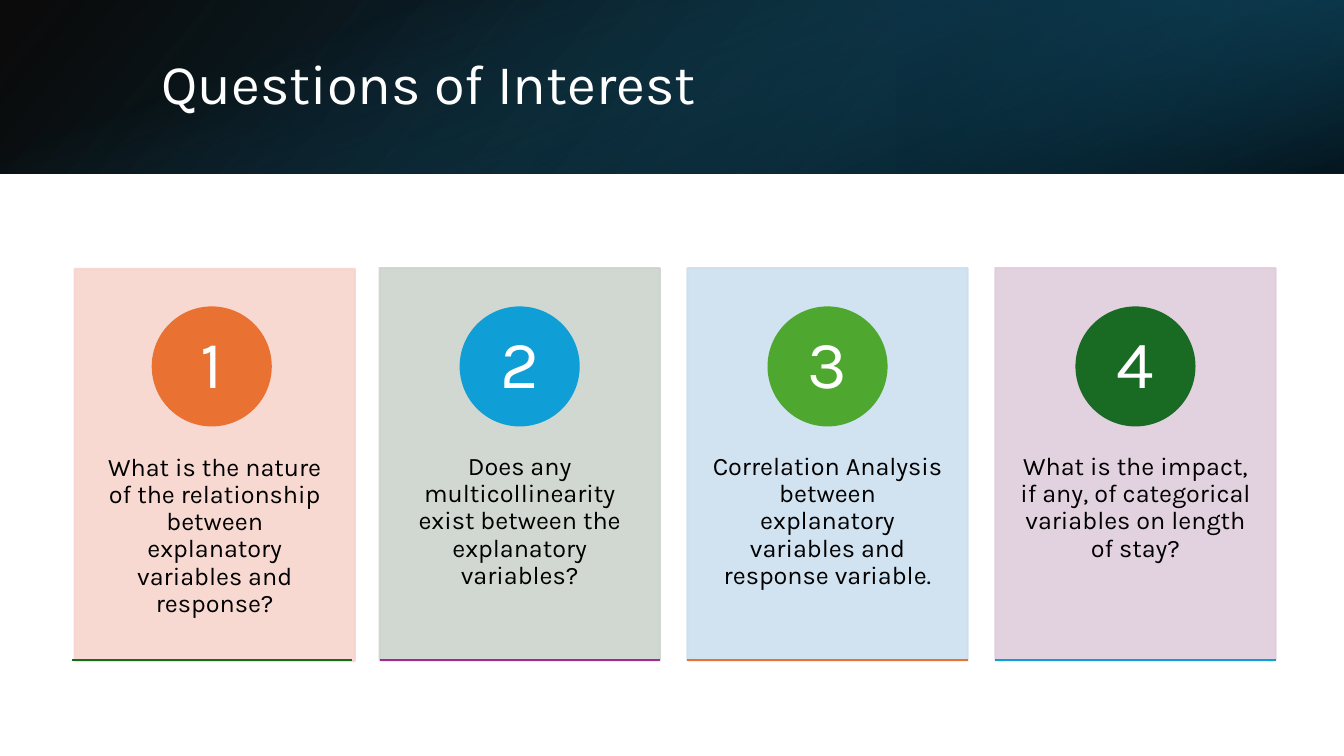
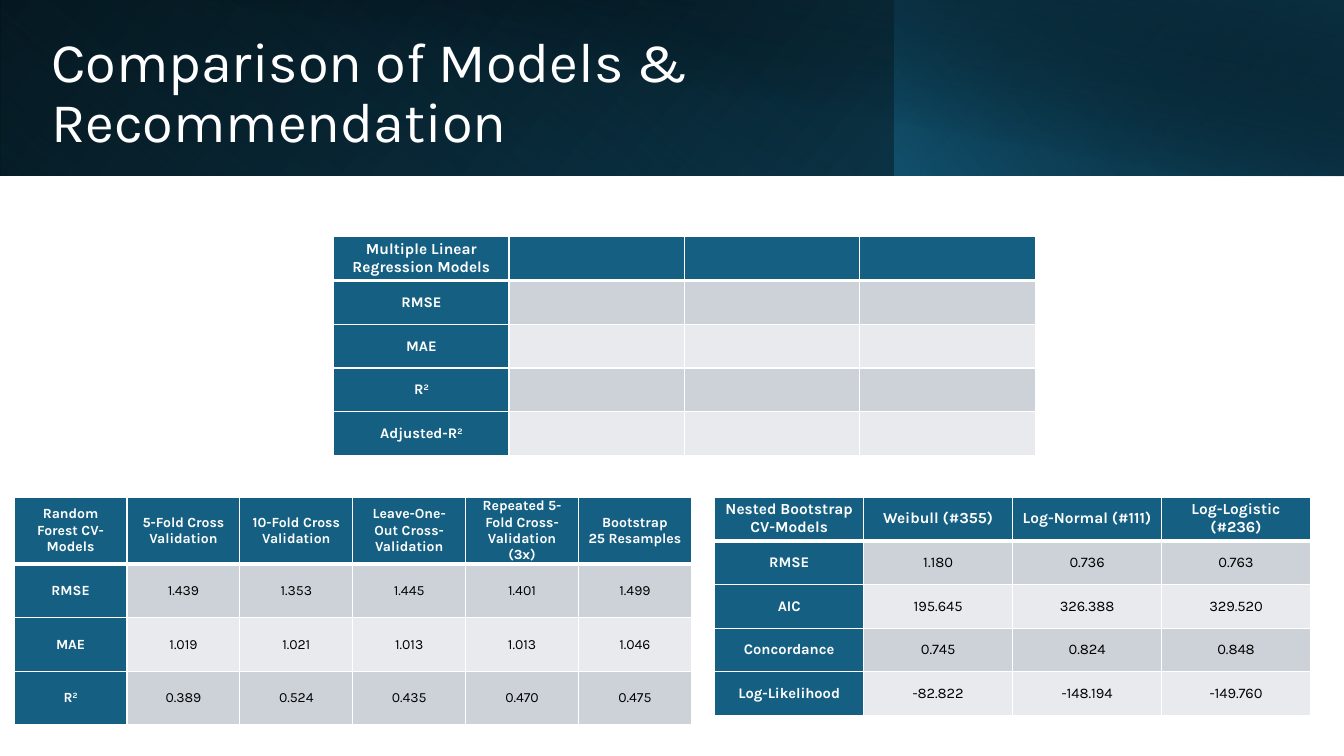
from lxml.etree import SubElement
from pptx import Presentation
from pptx.dml.color import RGBColor
from pptx.enum.shapes import MSO_CONNECTOR as Connector, MSO_SHAPE as Preset
from pptx.enum.text import MSO_ANCHOR as Anchor, PP_ALIGN as Align
from pptx.oxml import parse_xml
from pptx.oxml.ns import nsdecls, qn
from pptx.util import Emu, Inches, Pt


def color(code):
    return RGBColor.from_string(code)


def fade(element, opacities):
    for tint, opacity in zip(element.iter(qn("a:srgbClr")), opacities):
        SubElement(tint, qn("a:alpha")).set("val", str(opacity * 1000))


def write(frame, text, size=18, ink="000000", bold=False, align=Align.CENTER,
          anchor=Anchor.MIDDLE, spacing=None, insets=(0.1, 0.05)):
    frame.word_wrap = True
    frame.vertical_anchor = anchor
    frame.margin_left = frame.margin_right = Inches(insets[0])
    frame.margin_top = frame.margin_bottom = Inches(insets[1])
    for index, line in enumerate(text.split("\n")):
        paragraph = frame.add_paragraph() if index else frame.paragraphs[0]
        paragraph.alignment = align
        paragraph.line_spacing = spacing
        for part, piece in enumerate(line.split("^")):
            run = paragraph.add_run()
            run.text = piece
            run.font.name = Deck.FONT
            run.font.size = Pt(size)
            run.font.bold = bold
            run.font.color.rgb = color(ink)
            if part % 2:
                run._r.get_or_add_rPr().set("baseline", "30000")


class Deck:
    FONT = "Karla"
    WHITE = "FFFFFF"
    TEAL = "156082"
    NAVY = "0B3041"
    BLACK = "000000"
    STRIPES = ("CCD2D8", "E8EAED")
    BASE = ((BLACK, 0), ("104862", 100))

    def __init__(self):
        self.presentation = Presentation()
        self.presentation.slide_width = Inches(13.333)
        self.presentation.slide_height = Inches(7.5)
        self.slide = None

    def across(self, share):
        return Emu(round(self.presentation.slide_width * share / 100))

    def down(self, share):
        return Emu(round(self.presentation.slide_height * share / 100))

    def area(self, left, top, width, height):
        return self.across(left), self.down(top), self.across(width), self.down(height)

    def new_slide(self):
        self.slide = self.presentation.slides.add_slide(self.presentation.slide_layouts[6])

    def shape(self, preset, area, line=None):
        shape = self.slide.shapes.add_shape(preset, *area)
        shape.shadow.inherit = False
        if line:
            shape.fill.solid()
            shape.fill.fore_color.rgb = color(line)
            shape.line.color.rgb = color(line)
            shape.line.width = Pt(1.5)
        else:
            shape.line.fill.background()
        return shape

    def band(self, left, width, height, stops, opacities, angle, rotation=0, flip=True):
        x, y, w, h = self.area(left, 0, width, height)
        if rotation == 90:
            x, y, w, h = x + (w - h) // 2, y + (h - w) // 2, h, w
        shape = self.shape(Preset.RECTANGLE, (x, y, w, h))
        shape.rotation = rotation
        if flip:
            shape.element.spPr.find(qn("a:xfrm")).set("flipH", "1")
        shape.fill.gradient()
        shape.fill.gradient_angle = 360 - angle
        for stop, (code, position) in zip(shape.fill.gradient_stops, stops):
            stop.color.rgb = color(code)
            stop.position = position / 100
        fade(shape.element.spPr, opacities)

    def text(self, area, text, **style):
        box = self.slide.shapes.add_textbox(*self.area(*area))
        write(box.text_frame, text, **style)

    def title(self, area, text):
        self.text(area, text, size=40, ink=self.WHITE, align=Align.LEFT, spacing=0.9)

    def panel(self, area, code):
        shape = self.shape(Preset.RECTANGLE, self.area(*area), code)
        fade(shape.element.spPr, (90, 90))

    def badge(self, area, number, code):
        shape = self.shape(Preset.OVAL, self.area(*area), code)
        write(shape.text_frame, number, size=48, ink=self.WHITE, spacing=0.9,
              insets=(0.09, 0.01))

    def rule(self, left, top, width, code):
        x, y, w, _ = self.area(left, top, width, 0)
        line = self.slide.shapes.add_connector(Connector.STRAIGHT, x, y, x + w, y)
        line.line.color.rgb = color(code)
        line.line.width = Pt(1.5)
        SubElement(line.element.spPr, qn("a:effectLst"))

    def card(self, left, number, question, panel, badge, accent, shift):
        width, diameter = 20.85, 8.78
        x, y = left + shift, 35.47 + shift / 2
        self.panel((x, y, width, 51.87), panel)
        self.text((x, y + 19.73, width, 31.07), question, anchor=Anchor.TOP,
                  spacing=0.9, insets=(0.22, 0.36))
        self.badge((left + (width - diameter) / 2, 40.67, diameter, 15.6), number, badge)
        self.rule(left, 87.33, width, accent)

    def borders(self, cell, top=1, bottom=1):
        properties = cell._tc.get_or_add_tcPr()
        for index, (side, width) in enumerate(zip("LRTB", (1, 1, top, bottom))):
            properties.insert(index, parse_xml(
                f'<a:ln{side} {nsdecls("a")} w="{Pt(width)}"><a:solidFill>'
                f'<a:srgbClr val="{self.WHITE}"/></a:solidFill></a:ln{side}>'))

    def table(self, left, top, width, head_height, row_height, rows, head_size, body_size):
        height = head_height + row_height * (len(rows) - 1)
        frame = self.slide.shapes.add_table(
            len(rows), len(rows[0]), *self.area(left, top, width, height))
        table = frame.table
        for index, row in enumerate(table.rows):
            row.height = self.down(row_height if index else head_height)
        for column in table.columns:
            column.width = self.across(width / len(rows[0]))
        for r, values in enumerate(rows):
            for c, value in enumerate(values):
                cell = table.cell(r, c)
                heading = r == 0 or c == 0
                cell.fill.solid()
                cell.fill.fore_color.rgb = color(
                    self.TEAL if heading else self.STRIPES[(r - 1) % 2])
                self.borders(cell, top=3 if r == 1 else 1, bottom=1 if r else 3)
                write(cell.text_frame, value, size=body_size if r else head_size,
                      ink=self.WHITE if heading else self.BLACK, bold=heading,
                      insets=(0.08, 0))
                cell.vertical_anchor = Anchor.MIDDLE
                cell.margin_left = cell.margin_right = Inches(0.08)
                cell.margin_top = cell.margin_bottom = 0

    def save(self):
        self.presentation.save("out.pptx")


QUESTIONS = (
    ("What is the nature of the relationship between explanatory variables and response?",
     "F7D5CE", "E97132", "196B24", 0.22),
    ("Does any multicollinearity exist between the explanatory variables?",
     "CCD4CD", "0F9ED5", "A02B93", 0),
    ("Correlation Analysis between explanatory variables and response variable.",
     "CCDFEF", "4EA72E", "E97132", 0),
    ("What is the impact, if any, of categorical variables on length of stay?",
     "DFCDDC", "196B24", "0F9ED5", 0),
)

BOOTSTRAP = (
    ("Nested Bootstrap CV-Models", "Weibull (#355)", "Log-Normal (#111)", "Log-Logistic (#236)"),
    ("RMSE", "1.180", "0.736", "0.763"),
    ("AIC", "195.645", "326.388", "329.520"),
    ("Concordance", "0.745", "0.824", "0.848"),
    ("Log-Likelihood", "-82.822", "-148.194", "-149.760"),
)

FOREST = (
    ("Random Forest CV-Models", "5-Fold Cross Validation", "10-Fold Cross Validation",
     "Leave-One-Out Cross-Validation", "Repeated 5-Fold Cross-Validation (3x)",
     "Bootstrap\n25 Resamples"),
    ("RMSE", "1.439", "1.353", "1.445", "1.401", "1.499"),
    ("MAE", "1.019", "1.021", "1.013", "1.013", "1.046"),
    ("R^2", "0.389", "0.524", "0.435", "0.470", "0.475"),
)

REGRESSION = tuple(
    (label, "", "", "")
    for label in ("Multiple Linear Regression Models", "RMSE", "MAE", "R^2", "Adjusted-R^2"))


def questions_slide(deck):
    deck.new_slide()
    height = 22.93
    deck.band(0, 100, height, deck.BASE, (96, 100), 140)
    deck.band(66.67, 33.33, height, ((deck.NAVY, 19), (deck.TEAL, 100)), (68, 79), 320,
              rotation=180)
    deck.band(0, 100, height, ((deck.TEAL, 23), (deck.BLACK, 99)), (0, 74), 340,
              rotation=90, flip=False)
    deck.title((11.25, 5.07, 82.35, 12.8), "Questions of Interest")
    for index, (question, panel, badge, accent, shift) in enumerate(QUESTIONS):
        deck.card(5.33 + 22.91 * index, str(index + 1), question, panel, badge, accent, shift)


def comparison_slide(deck):
    deck.new_slide()
    height = 23.2
    deck.band(0, 100, height, deck.BASE, (100, 100), 140)
    deck.band(0, 66.6, height, ((deck.TEAL, 20), (deck.NAVY, 100)), (0, 55), 230, rotation=180)
    deck.band(66.53, 33.47, height, ((deck.TEAL, 0), (deck.BLACK, 100)), (66, 30), 220)
    deck.band(3.75, 96.25, 23.33, ((deck.BLACK, 50), (deck.NAVY, 99)), (0, 52), 280, flip=False)
    deck.title((3.07, 4.93, 81.15, 15.07), "Comparison of Models & Recommendation")
    deck.table(53.18, 65.73, 44.33, 5.79, 5.79, BOOTSTRAP, 11, 10.5)
    deck.table(1.05, 65.73, 50.4, 7.47, 7.07, FOREST, 10, 10)
    deck.table(24.83, 31.33, 52.2, 5.79, 5.79, REGRESSION, 11, 10.5)


def main():
    deck = Deck()
    questions_slide(deck)
    comparison_slide(deck)
    deck.save()


if __name__ == "__main__":
    main()
